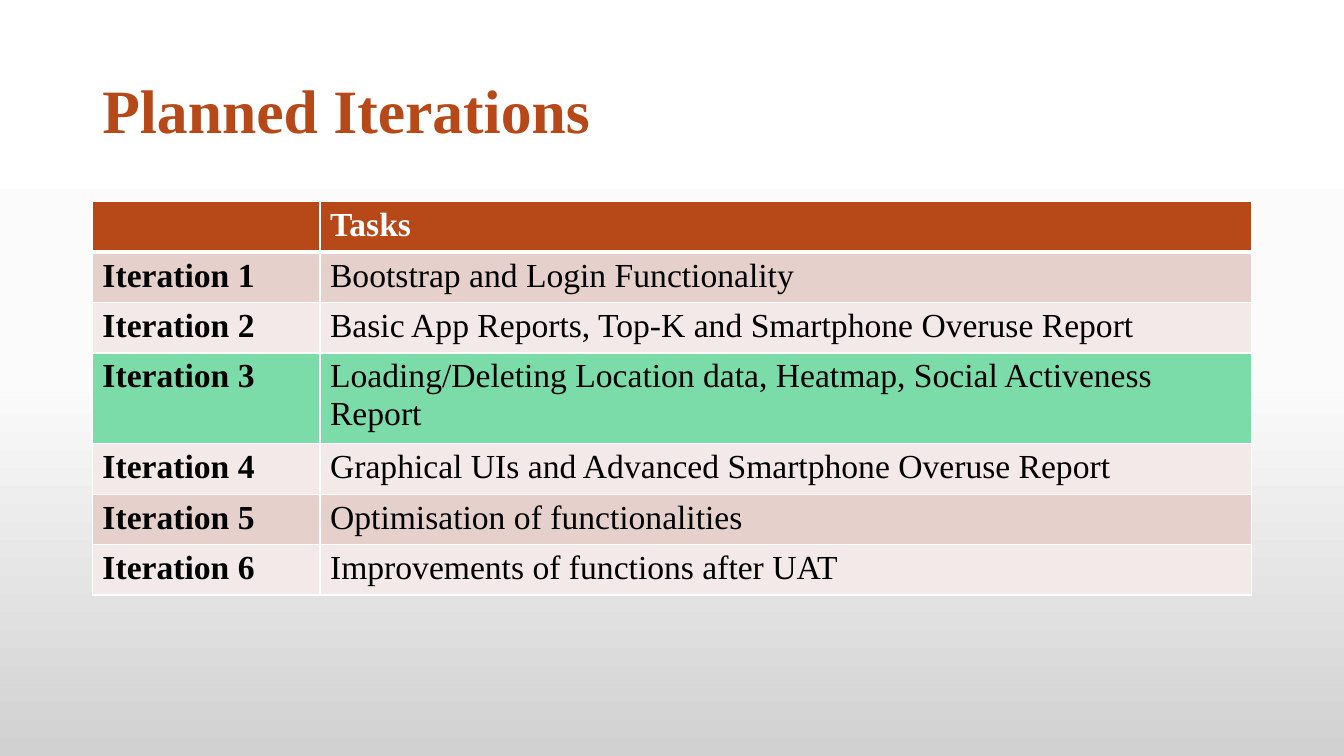
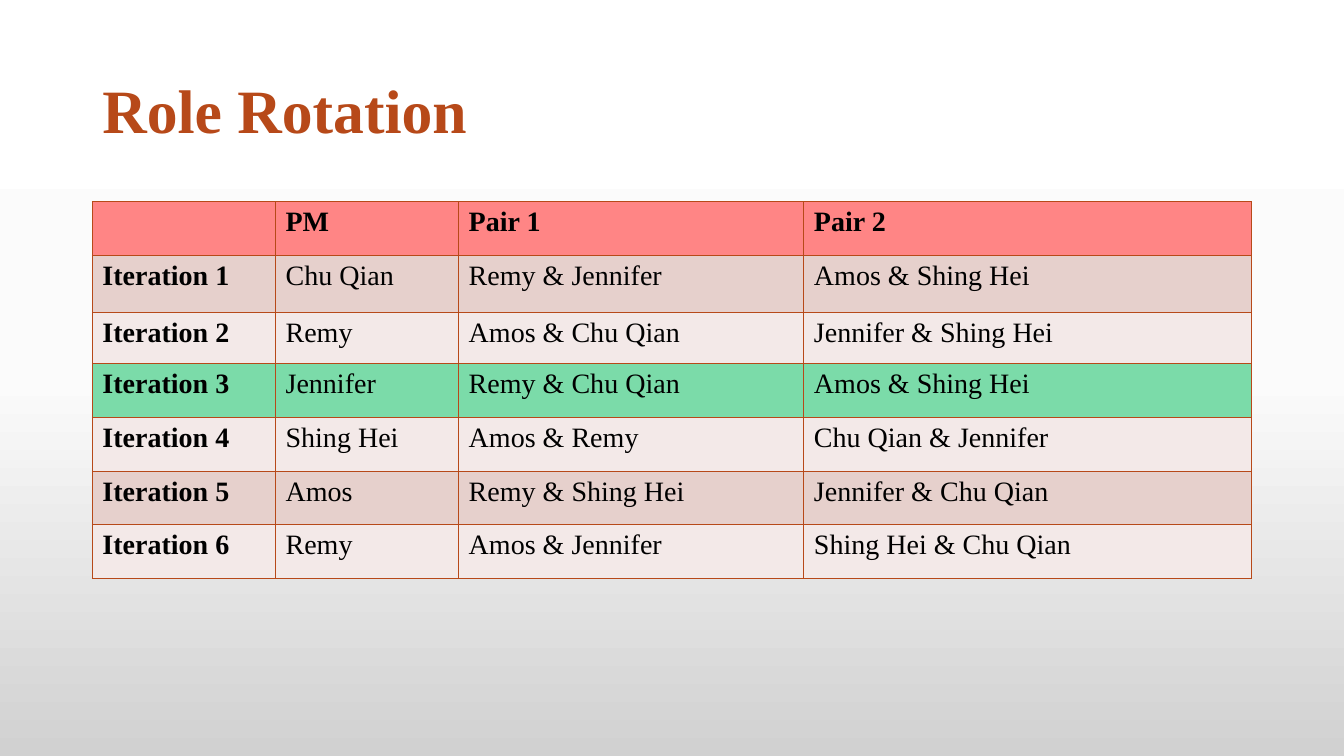
from lxml import etree
from pptx import Presentation
from pptx import util as u
from pptx.dml.color import RGBColor
from pptx.enum import text
from pptx.oxml import ns

# Shared look
FONT = "Times New Roman"
RUST = RGBColor(0xB7, 0x49, 0x19)
CORAL = RGBColor(0xFF, 0x85, 0x85)
GREEN = RGBColor(0x7B, 0xDB, 0xA9)
DARK_BAND = RGBColor(0xE6, 0xD0, 0xCC)
LIGHT_BAND = RGBColor(0xF3, 0xE9, 0xE8)
WHITE = RGBColor(0xFF, 0xFF, 0xFF)
BLACK = RGBColor(0, 0, 0)
BACKDROP = ((0, WHITE), (50, RGBColor(0xFB, 0xFB, 0xFB)),
            (100, RGBColor(0xD1, 0xD1, 0xD1)))

# Grid of 160 columns by 90 rows
WIDTH, HEIGHT = u.Inches(13.33), u.Inches(7.5)
LEFT, SPAN = 11, 138
TITLE_TOP, TITLE_ROWS, TABLE_TOP = 4.8, 17.4, 24
CURRENT_ITERATION = 3

TASKS = [
    ("", "Tasks"),
    ("Iteration 1", "Bootstrap and Login Functionality"),
    ("Iteration 2", "Basic App Reports, Top-K and Smartphone Overuse Report"),
    ("Iteration 3", "Loading/Deleting Location data, Heatmap, Social Activeness Report"),
    ("Iteration 4", "Graphical UIs and Advanced Smartphone Overuse Report"),
    ("Iteration 5", "Optimisation of functionalities"),
    ("Iteration 6", "Improvements of functions after UAT"),
]
ROLES = [
    ("", "PM", "Pair 1", "Pair 2"),
    ("Iteration 1", "Chu Qian", "Remy & Jennifer", "Amos & Shing Hei"),
    ("Iteration 2", "Remy", "Amos & Chu Qian", "Jennifer & Shing Hei"),
    ("Iteration 3", "Jennifer", "Remy & Chu Qian", "Amos & Shing Hei"),
    ("Iteration 4", "Shing Hei", "Amos & Remy", "Chu Qian & Jennifer"),
    ("Iteration 5", "Amos", "Remy & Shing Hei", "Jennifer & Chu Qian"),
    ("Iteration 6", "Remy", "Amos & Jennifer", "Shing Hei & Chu Qian"),
]


def across(columns):
    return round(WIDTH * columns / 160)


def down(rows):
    return round(HEIGHT * rows / 90)


def add_color(parent, color):
    etree.SubElement(parent, ns.qn("a:srgbClr"), val=str(color))


def set_backdrop(master):
    fill = master.background.fill
    fill.gradient()
    fill.gradient_angle = 270
    stops = next(master.element.iter(ns.qn("a:gsLst")))
    for stop in list(stops):
        stops.remove(stop)
    for percent, color in BACKDROP:
        add_color(etree.SubElement(stops, ns.qn("a:gs"), pos=str(percent * 1000)), color)


def style_paragraph(paragraph, size, color, bold):
    font = paragraph.font
    font.name, font.size, font.bold = FONT, u.Pt(size), bold
    font.color.rgb = color


def add_title(slide, wording):
    frame = slide.shapes.add_textbox(across(LEFT), down(TITLE_TOP),
                                     across(SPAN), down(TITLE_ROWS)).text_frame
    frame.word_wrap = True
    frame.vertical_anchor = text.MSO_ANCHOR.MIDDLE
    heading = frame.paragraphs[0]
    heading.text = wording
    heading.line_spacing = 0.9
    style_paragraph(heading, 44, RUST, True)


def set_borders(cell, color, top=1, bottom=1):
    properties = cell._tc.get_or_add_tcPr()
    for side, points in (("L", 1), ("R", 1), ("T", top), ("B", bottom)):
        line = etree.SubElement(properties, ns.qn(f"a:ln{side}"), w=str(u.Pt(points)))
        add_color(etree.SubElement(line, ns.qn("a:solidFill")), color)


def band_color(row, header_fill):
    if row == 0:
        return header_fill
    if row == CURRENT_ITERATION:
        return GREEN
    return DARK_BAND if row % 2 else LIGHT_BAND


def add_iteration_table(slide, entries, widths, heights, size, header_fill,
                        header_color, border, header_rule=1):
    table = slide.shapes.add_table(len(entries), len(widths), across(LEFT), down(TABLE_TOP),
                                   across(SPAN), down(sum(heights))).table
    table.first_row = table.horz_banding = False
    for column, width in zip(table.columns, widths):
        column.width = across(width)
    for row, (entry, height) in enumerate(zip(entries, heights)):
        table.rows[row].height = down(height)
        for column, wording in enumerate(entry):
            cell = table.cell(row, column)
            set_borders(cell, border, top=header_rule if row == 1 else 1,
                        bottom=header_rule if row == 0 else 1)
            cell.fill.solid()
            cell.fill.fore_color.rgb = band_color(row, header_fill)
            cell.text = wording
            style_paragraph(cell.text_frame.paragraphs[0], size,
                            BLACK if row else header_color, row == 0 or column == 0)


def main():
    deck = Presentation()
    deck.slide_width, deck.slide_height = WIDTH, HEIGHT
    set_backdrop(deck.slide_master)
    blank = deck.slide_layouts[6]

    # Planned iterations
    plan = deck.slides.add_slide(blank)
    add_title(plan, "Planned Iterations")
    add_iteration_table(plan, TASKS, (27.1, 110.9), [4.9] * len(TASKS), 24,
                        RUST, WHITE, WHITE, header_rule=3)

    # Role rotation
    rotation = deck.slides.add_slide(blank)
    add_title(rotation, "Role Rotation")
    add_iteration_table(rotation, ROLES, (21.8, 21.8, 41.1, 53.3),
                        [6.4, 6.8, 6.1] + [6.4] * 4, 20, CORAL, BLACK, RUST)

    deck.save("out.pptx")


main()
